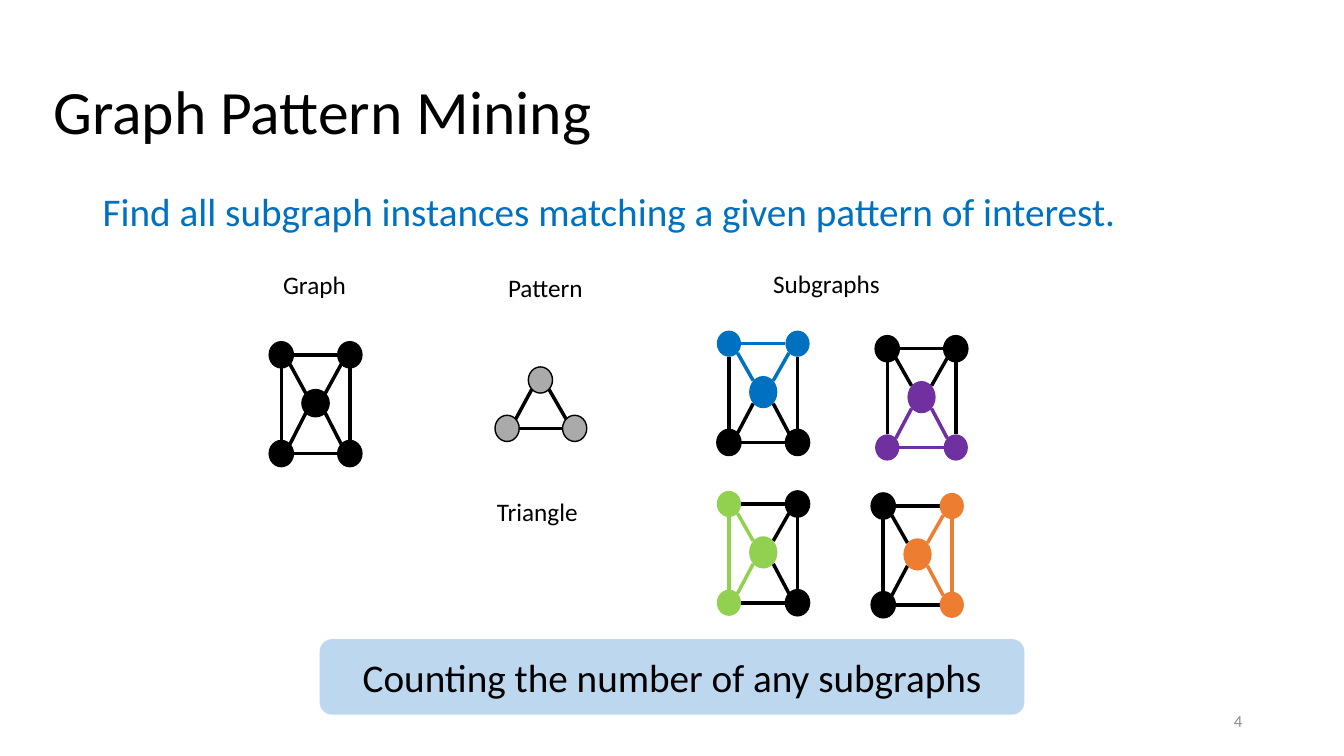
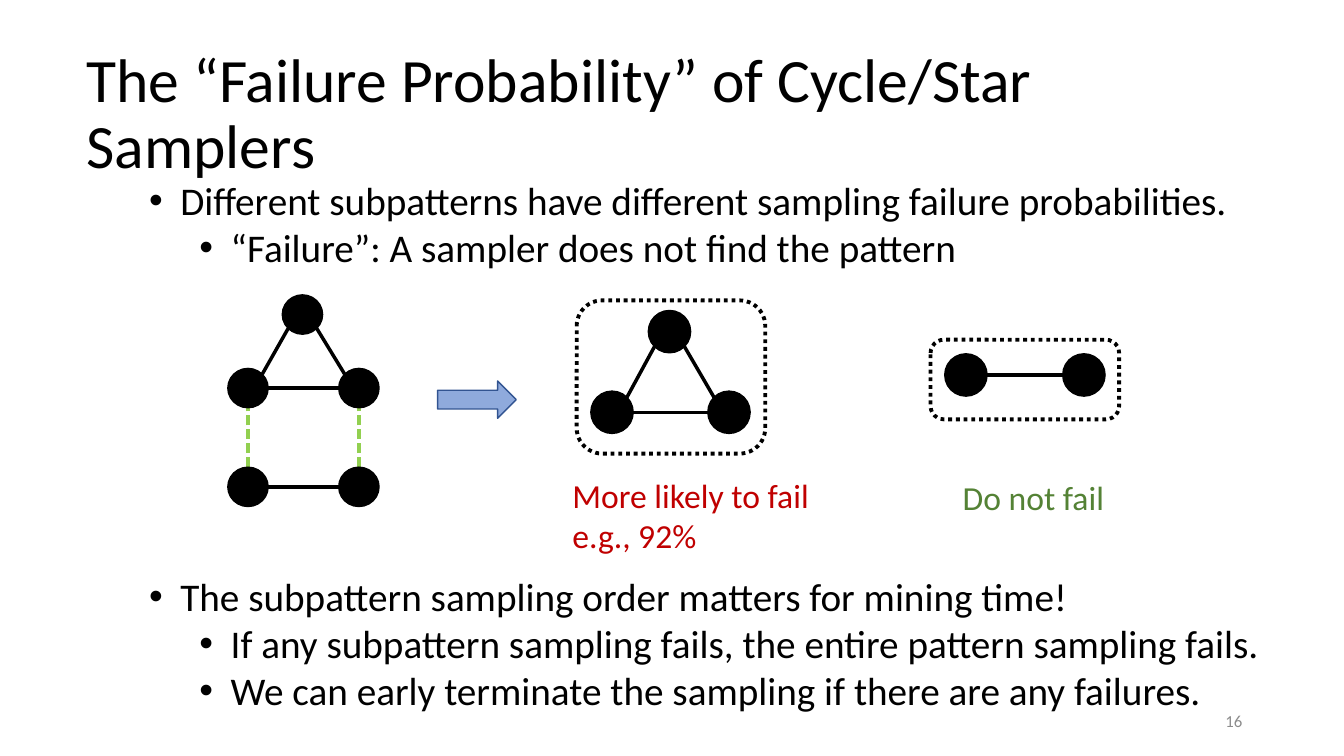
import dataclasses
import math

import lxml.etree
import pptx
import pptx.dml.color
import pptx.enum.dml
import pptx.enum.shapes
import pptx.enum.text
import pptx.oxml.ns
import pptx.util

SHAPE = pptx.enum.shapes.MSO_SHAPE
ALIGN = pptx.enum.text.PP_ALIGN
ANCHOR = pptx.enum.text.MSO_ANCHOR
DASH = pptx.enum.dml.MSO_LINE


@dataclasses.dataclass(frozen=True)
class Theme:
    font: str = "Calibri"
    black: str = "000000"
    grey: str = "AAAAAA"
    faint: str = "8C8C8C"
    blue: str = "0070C0"
    purple: str = "7030A0"
    lime: str = "92D050"
    orange: str = "ED7D31"
    red: str = "C00000"
    green: str = "548235"
    pale: str = "BDD7EE"
    arrow: str = "8FAADC"
    navy: str = "325491"
    title: int = 44
    body: int = 28
    note: int = 24
    label: int = 18
    small: int = 12
    thin: float = 1
    edge: float = 2.5
    frame: float = 2.75


THEME = Theme()

# Five-node graph: offsets from its top left node, and its edges
SPOTS = {"tl": (0, 0), "tr": (68, 0), "mid": (34, 48), "bl": (0, 98), "br": (68, 98)}
LINKS = ["tl tr", "bl br", "tl bl", "tr br", "tl mid", "tr mid", "bl mid", "br mid"]
TRIO = ["top left", "top right", "left right"]


def px(num):
    """One px is a hundredth of an inch."""
    return pptx.util.Emu(round(num * 9144))


def rgb(code):
    return pptx.dml.color.RGBColor.from_string(code)


def add_run(para, text, size, color):
    run = para.add_run()
    run.text = text
    run.font.name = THEME.font
    run.font.size = pptx.util.Pt(size)
    run.font.color.rgb = rgb(color)


def add_text(slide, box, lines, size, color=THEME.black, wrap=True,
             anchor=ANCHOR.TOP, align=ALIGN.LEFT, space=1.0):
    """Add one paragraph per line and return the paragraphs."""
    frame = slide.shapes.add_textbox(*map(px, box)).text_frame
    frame.word_wrap = wrap
    frame.vertical_anchor = anchor
    for i, line in enumerate(lines):
        para = frame.paragraphs[0] if i == 0 else frame.add_paragraph()
        para.alignment = align
        para.line_spacing = space
        add_run(para, line, size, color)
    return frame.paragraphs


def add_list(slide, box, items):
    """Add bullets; items are (level, text) pairs."""
    paras = add_text(slide, box, [text for _, text in items], THEME.body)
    for para, (level, _) in zip(paras, items):
        para.level = level
        props = para._p.get_or_add_pPr()
        props.set("marL", str(px(31 + 50 * level)))
        props.set("indent", str(-px(31)))
        for tag, key, value in (("a:buFont", "typeface", "Arial"), ("a:buChar", "char", "•")):
            mark = lxml.etree.SubElement(props, pptx.oxml.ns.qn(tag))
            mark.set(key, value)


def add_shape(shapes, kind, box, fill=None, line=None, width=THEME.thin, dash=None):
    shape = shapes.add_shape(kind, *map(px, box))
    shape.shadow.inherit = False
    if fill:
        shape.fill.solid()
        shape.fill.fore_color.rgb = rgb(fill)
    else:
        shape.fill.background()
    if line:
        shape.line.color.rgb = rgb(line)
        shape.line.width = pptx.util.Pt(width)
        if dash:
            shape.line.dash_style = dash
    else:
        shape.line.fill.background()
    return shape


def add_node(shapes, spot, size, fill, line):
    (x, y), (w, h) = spot, size
    add_shape(shapes, SHAPE.OVAL, (x - w / 2, y - h / 2, w, h), fill, line)


def rim(spot, size, goal):
    """Find the point at a multiple of 45 degrees on the rim that faces goal."""
    signs = [(b > a) - (b < a) for a, b in zip(spot, goal)]
    norm = math.hypot(*signs)
    return [a + s * d / 2 / norm for a, s, d in zip(spot, signs, size)]


def add_edge(shapes, start, end, color, dash=None):
    kind = pptx.enum.shapes.MSO_CONNECTOR.STRAIGHT
    edge = shapes.add_connector(kind, *map(px, (*start, *end)))
    edge.line.color.rgb = rgb(color)
    edge.line.width = pptx.util.Pt(THEME.edge)
    if dash:
        edge.line.dash_style = dash
    lxml.etree.SubElement(edge._element.spPr, pptx.oxml.ns.qn("a:effectLst"))


def add_graph(slide, spots, links, size, fill=THEME.black, big=None,
              lit=(), hue=None, dashed=()):
    """Draw a graph; lit nodes and the edges between them take the hue."""
    shapes = slide.shapes.add_group_shape().shapes
    sizes = {name: big if big and name == "mid" else size for name in spots}
    for link in [*links, *dashed]:
        a, b = link.split()
        ends = (rim(spots[a], sizes[a], spots[b]), rim(spots[b], sizes[b], spots[a]))
        if link in dashed:
            add_edge(shapes, *ends, THEME.lime, DASH.SQUARE_DOT)
        else:
            add_edge(shapes, *ends, hue if a in lit and b in lit else THEME.black)
    for name, spot in spots.items():
        if name in lit:
            add_node(shapes, spot, sizes[name], hue, None)
        else:
            add_node(shapes, spot, sizes[name], fill, THEME.black)


def add_house(slide, left, top, big, lit=(), hue=None):
    """Draw the five-node graph with its top left node at left, top."""
    spots = {name: (left + x, top + y) for name, (x, y) in SPOTS.items()}
    add_graph(slide, spots, LINKS, (24, 26), big=big, lit=lit, hue=hue)


def add_page(deck, title, box, number):
    slide = deck.slides.add_slide(deck.slide_layouts[6])
    add_text(slide, box, [title], THEME.title, anchor=ANCHOR.MIDDLE, space=0.9)
    add_text(slide, (942, 695, 300, 40), [number], THEME.small, THEME.faint,
             anchor=ANCHOR.MIDDLE, align=ALIGN.RIGHT)
    return slide


def add_mining(deck):
    slide = add_page(deck, "Graph Pattern Mining", (43, 41, 1323, 145), "4")
    add_text(slide, (92, 186, 1150, 56),
             ["Find all subgraph instances matching a given pattern of interest."],
             THEME.body, THEME.blue, space=0.9)
    for text, box in (("Graph", (271, 262, 83, 40)), ("Pattern", (494, 265, 95, 40)),
                      ("Triangle", (483, 487, 101, 40)), ("Subgraphs", (757, 261, 127, 40))):
        add_text(slide, box, [text], THEME.label, wrap=False)

    add_house(slide, 279, 352, (27, 27))
    spots = {"top": (536, 377), "left": (503, 425), "right": (570, 425)}
    add_graph(slide, spots, TRIO, (24, 26), THEME.grey)
    for left, top, side, hue in ((723, 341, "tl tr", THEME.blue),
                                 (880, 346, "bl br", THEME.purple),
                                 (723, 500, "tl bl", THEME.lime),
                                 (876, 502, "tr br", THEME.orange)):
        add_house(slide, left, top, (28, 32), [*side.split(), "mid"], hue)

    banner = add_shape(slide.shapes, SHAPE.ROUNDED_RECTANGLE, (317, 634, 699, 75), THEME.pale)
    banner.text_frame.vertical_anchor = ANCHOR.MIDDLE
    para = banner.text_frame.paragraphs[0]
    para.alignment = ALIGN.CENTER
    add_run(para, "Counting the number of any subgraphs", THEME.body, THEME.black)


def add_failure(deck):
    slide = add_page(deck, "The “Failure Probability” of Cycle/Star Samplers",
                     (76, 42, 1182, 145), "16")
    add_list(slide, (138, 170, 1171, 104), [
        (0, "Different subpatterns have different sampling failure probabilities."),
        (1, "“Failure”: A sampler does not find the pattern")])
    add_list(slide, (138, 563, 1171, 199), [
        (0, "The subpattern sampling order matters for mining time!"),
        (1, "If any subpattern sampling fails, the entire pattern sampling fails."),
        (1, "We can early terminate the sampling if there are any failures.")])

    whole = {"top": (300, 312), "left": (246, 385), "right": (356, 385),
             "low": (246, 483), "end": (356, 483)}
    add_graph(slide, whole, [*TRIO, "low end"], (40, 39), dashed=("low left", "end right"))
    add_shape(slide.shapes, SHAPE.RIGHT_ARROW, (434, 378, 78, 37), THEME.arrow, THEME.navy)
    cycle = {"top": (664, 329), "left": (607, 409), "right": (723, 409)}
    add_graph(slide, cycle, TRIO, (42, 42))
    star = {"left": (958, 372), "right": (1075, 372)}
    add_graph(slide, star, ["left right"], (42, 42))
    for box in ((572, 298, 187, 152), (923, 337, 187, 79)):
        add_shape(slide.shapes, SHAPE.ROUNDED_RECTANGLE, box, line=THEME.black,
                  width=THEME.frame, dash=DASH.ROUND_DOT)
    add_text(slide, (558, 466, 256, 91), ["More likely to fail", "e.g., 92%"],
             THEME.note, THEME.red)
    add_text(slide, (945, 468, 162, 50), ["Do not fail"], THEME.note, THEME.green, wrap=False)


def main():
    deck = pptx.Presentation()
    deck.slide_width, deck.slide_height = px(1333), px(750)
    add_mining(deck)
    add_failure(deck)
    deck.save("out.pptx")


if __name__ == "__main__":
    main()
